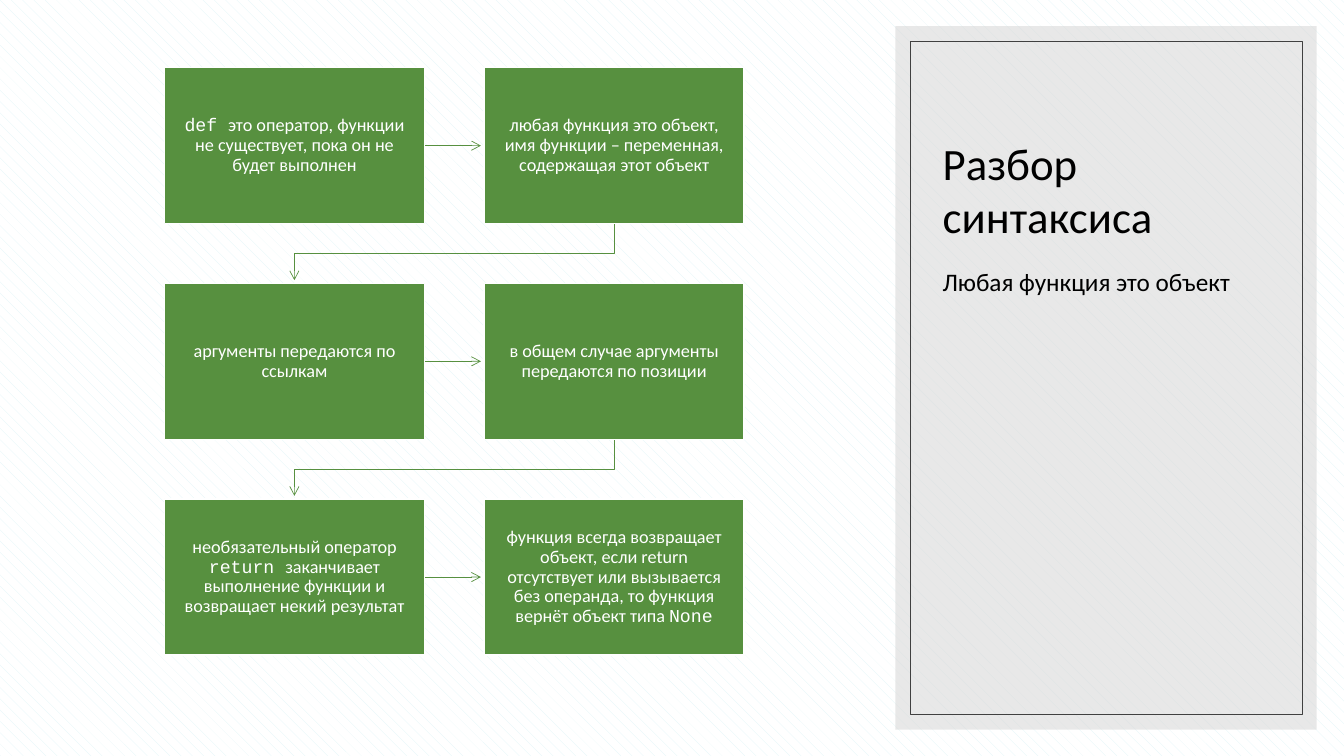
from dataclasses import dataclass

from lxml import etree
from pptx import Presentation
from pptx.dml.color import RGBColor
from pptx.enum.dml import MSO_PATTERN
from pptx.enum.shapes import MSO_CONNECTOR, MSO_SHAPE
from pptx.enum.text import MSO_ANCHOR, PP_ALIGN
from pptx.oxml.ns import qn
from pptx.util import Inches, Pt

RECT = MSO_SHAPE.RECTANGLE
STRAIGHT = MSO_CONNECTOR.STRAIGHT
SHINGLE = MSO_PATTERN.SHINGLE
LEFT, CENTER = PP_ALIGN.LEFT, PP_ALIGN.CENTER
TOP, MIDDLE, BOTTOM = MSO_ANCHOR.TOP, MSO_ANCHOR.MIDDLE, MSO_ANCHOR.BOTTOM
TITLE_ONLY = 5


@dataclass(frozen=True)
class Theme:
    green: str = "57903F"
    white: str = "FFFFFF"
    black: str = "000000"
    panel: str = "D9D9D9"
    frame: str = "404040"
    hatch: str = "DEF4F7"
    font: str = "Calibri"
    code_font: str = "Courier New"
    title_size: int = 32
    body_size: int = 18
    box_size: int = 13
    thin: float = 0.5


class Deck:
    def __init__(self, prs, theme):
        self.theme = theme
        self.s = prs.slides.add_slide(prs.slide_layouts[TITLE_ONLY])

    def background(self):
        fill = self.s.background.fill
        fill.patterned()
        fill.pattern = SHINGLE
        fill.fore_color.rgb = RGBColor.from_string(self.theme.hatch)
        fill.back_color.rgb = RGBColor.from_string(self.theme.white)

    def rect(self, x, y, w, h, fill=None, line=None, width=1, alpha=None):
        sp = self.s.shapes.add_shape(RECT, Inches(x), Inches(y), Inches(w), Inches(h))
        sp.shadow.inherit = False
        if fill:
            sp.fill.solid()
            sp.fill.fore_color.rgb = RGBColor.from_string(fill)
        else:
            sp.fill.background()
        if alpha:
            color = sp._element.spPr.find(qn("a:solidFill"))[0]
            etree.SubElement(color, qn("a:alpha")).set("val", str(alpha * 1000))
        if line:
            sp.line.color.rgb = RGBColor.from_string(line)
            sp.line.width = Pt(width)
        else:
            sp.line.fill.background()
        return sp

    def set_text(self, sp, runs, size, color, align, anchor, spacing=1.0):
        tf = sp.text_frame
        tf.word_wrap = True
        tf.vertical_anchor = anchor
        p = tf.paragraphs[0]
        p.alignment, p.line_spacing = align, spacing
        p.font.size = Pt(size)
        p.font.color.rgb = RGBColor.from_string(color)
        p.font.name = self.theme.font
        for text, is_code in runs:
            r = p.add_run()
            r.text = text
            if is_code:
                r.font.name = self.theme.code_font

    def title(self, text, x, y, w, h):
        sp = self.s.shapes.title
        sp.left, sp.top, sp.width, sp.height = map(Inches, (x, y, w, h))
        self.s.shapes._spTree.append(sp._element)
        self.set_text(sp, [(text, False)], self.theme.title_size, self.theme.black, LEFT, BOTTOM)

    def body(self, text, x, y, w, h):
        sp = self.s.shapes.add_textbox(Inches(x), Inches(y), Inches(w), Inches(h))
        self.set_text(sp, [(text, False)], self.theme.body_size, self.theme.black, LEFT, TOP, 1.1)
        sp.text_frame.paragraphs[0].space_before = Pt(8)

    def box(self, runs, x, y, w, h):
        sp = self.rect(x, y, w, h, self.theme.green, self.theme.white)
        tf = sp.text_frame
        tf.margin_left = tf.margin_right = tf.margin_top = tf.margin_bottom = Inches(0.13)
        self.set_text(sp, runs, self.theme.box_size, self.theme.white, CENTER, MIDDLE, 0.9)

    def arrow(self, *points):
        points = [(Inches(x), Inches(y)) for x, y in points]
        if len(points) == 2:
            sp = self.s.shapes.add_connector(STRAIGHT, *points[0], *points[1])
            etree.SubElement(sp._element.spPr, qn("a:effectLst"))
        else:
            outline = self.s.shapes.build_freeform(*points[0])
            outline.add_line_segments(points[1:], close=False)
            sp = outline.convert_to_shape()
            sp.shadow.inherit = False
            sp.fill.background()
        sp.line.color.rgb = RGBColor.from_string(self.theme.green)
        sp.line.width = Pt(self.theme.thin)
        ln = sp._element.spPr.find(qn("a:ln"))
        etree.SubElement(ln, qn("a:tailEnd")).set("type", "arrow")


STEPS = [
    [("def ", True), ("это оператор, функции не существует, пока он не будет выполнен", False)],
    [("любая функция это объект, имя функции – переменная, содержащая этот объект", False)],
    [("аргументы передаются по ссылкам", False)],
    [("в общем случае аргументы передаются по позиции", False)],
    [("необязательный оператор ", False), ("return ", True),
     ("заканчивает выполнение функции и возвращает некий результат", False)],
    [("функция всегда возвращает объект, если return отсутствует или вызывается "
      "без операнда, то функция вернёт объект типа ", False), ("None", True)],
]
COLUMNS = 2
GRID_X, GRID_Y = 1.63, 0.67
BOX_W, BOX_H = 2.58, 1.55
STEP_X, STEP_Y = 3.17, 2.14
ARROW_LEN = 0.56

prs = Presentation()
prs.slide_width, prs.slide_height = Inches(13.33), Inches(7.5)
theme = Theme()
deck = Deck(prs, theme)

deck.background()
deck.rect(8.88, 0.26, 4.18, 6.98, fill=theme.panel, alpha=60)
deck.rect(9.03, 0.41, 3.89, 6.68, line=theme.frame, width=theme.thin)
deck.title("Разбор синтаксиса", 9.25, 0.66, 3.46, 1.8)
deck.body("Любая функция это объект", 9.25, 2.56, 3.46, 3.94)

for i, runs in enumerate(STEPS):
    row, col = divmod(i, COLUMNS)
    x, y = GRID_X + col * STEP_X, GRID_Y + row * STEP_Y
    right, bottom = x + BOX_W, y + BOX_H
    if col < COLUMNS - 1:
        mid_y = y + BOX_H / 2
        deck.arrow((right, mid_y), (right + ARROW_LEN, mid_y))
    elif i < len(STEPS) - 1:
        start_x, end_x = x + BOX_W / 2, GRID_X + BOX_W / 2
        turn_y = (bottom + y + STEP_Y) / 2
        deck.arrow((start_x, bottom), (start_x, turn_y), (end_x, turn_y),
                   (end_x, bottom + ARROW_LEN))
    deck.box(runs, x, y, BOX_W, BOX_H)

prs.save("out.pptx")
